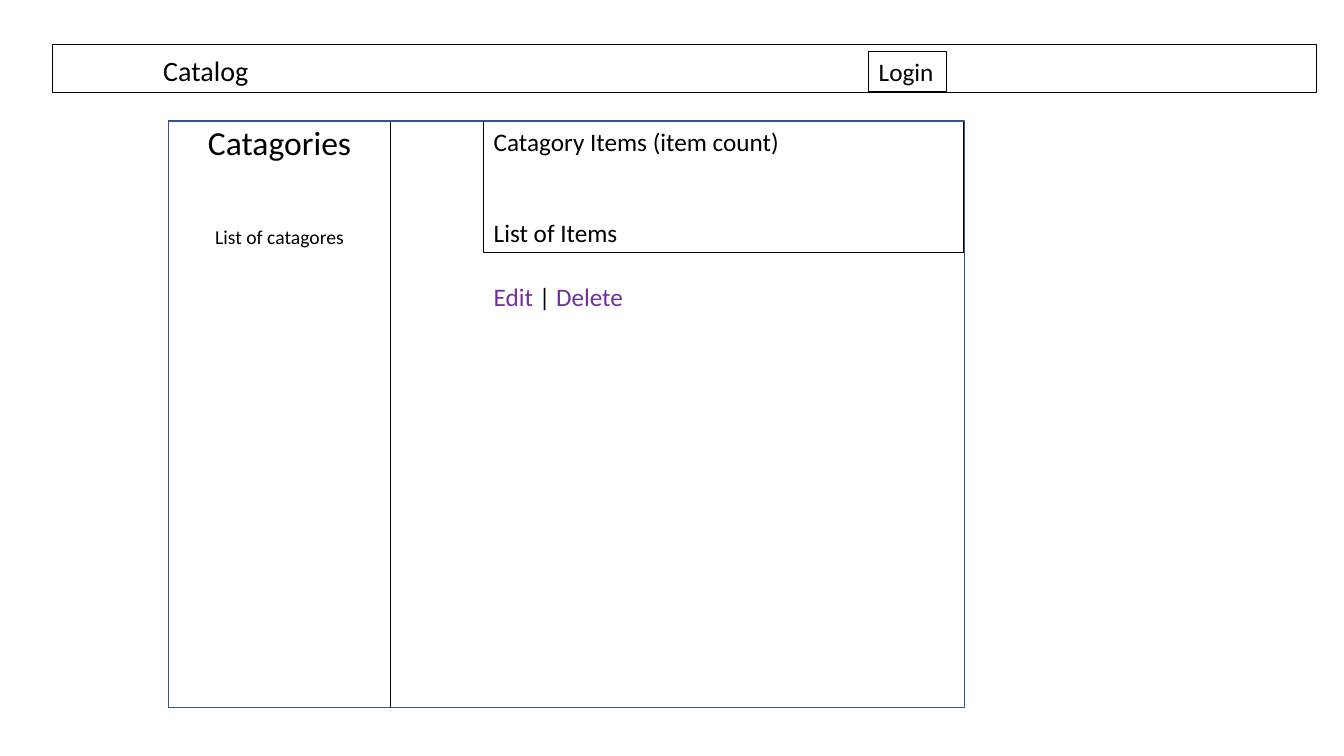
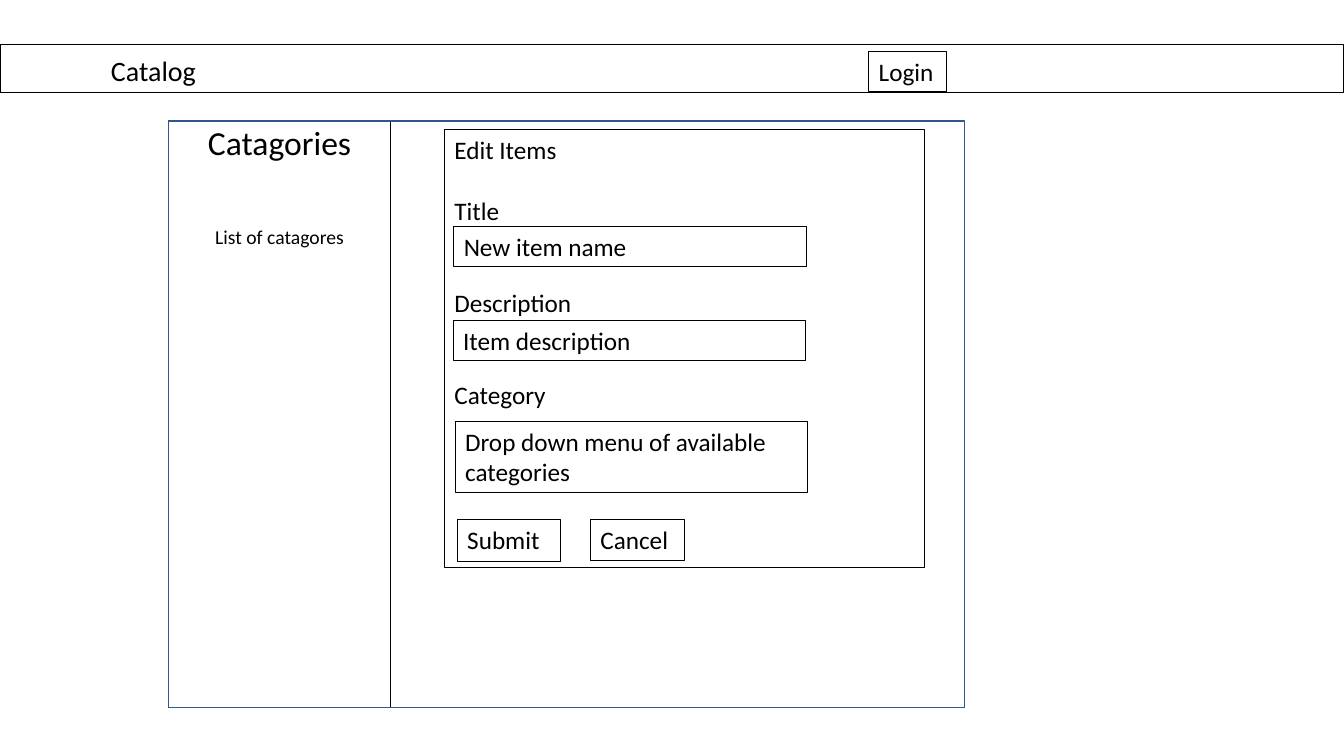
import collections
import dataclasses

import pptx
import pptx.dml.color
import pptx.enum.shapes
import pptx.enum.text
import pptx.util

Pt = pptx.util.Pt
RGB = pptx.dml.color.RGBColor
Align = pptx.enum.text.PP_ALIGN
Anchor = pptx.enum.text.MSO_ANCHOR
RECT = pptx.enum.shapes.MSO_SHAPE.RECTANGLE


@dataclasses.dataclass(frozen=True)
class Theme:
    """Colours, type sizes and line widths shared by the slides."""
    font: str = "Calibri"
    ink: RGB = RGB(0, 0, 0)
    frame: RGB = RGB(0x32, 0x54, 0x91)
    link: RGB = RGB(0x70, 0x30, 0xA0)
    title: float = 20
    heading: float = 24
    body: float = 18
    small: float = 14
    thin: float = 0.75
    thick: float = 1
    blank_line: float = 22


class Box(collections.namedtuple("Box", "x y w h")):
    """A rectangle in points."""

    def sub(self, dx, dy, w, h):
        """Return a box offset from this one's top left corner."""
        return Box(self.x + dx, self.y + dy, w, h)


T = Theme()
FRAME = Box(120.2, 86.4, 568.8, 419)
LOGIN_X = 620.6
BUTTON_H = 28.8


def apply(obj, values):
    """Set each attribute named in values on obj."""
    for name, value in values.items():
        setattr(obj, name, value)


def place(sp, box):
    """Move and size a shape to a box."""
    names = ("left", "top", "width", "height")
    apply(sp, {n: Pt(v) for n, v in zip(names, box)})


def outline(sp, color=T.ink, width=T.thin):
    """Give a shape a plain outline without fill."""
    sp.fill.background()
    sp.line.color.rgb = color
    sp.line.width = Pt(width)


def add_run(p, text, size=T.body, color=T.ink):
    """Append a formatted run to a paragraph."""
    r = p.add_run()
    r.text = text
    apply(r.font, {"name": T.font, "size": Pt(size)})
    r.font.color.rgb = color


def write(sp, lines, anchor=Anchor.TOP, **style):
    """Write (text, size, space before) lines into a shape."""
    tf = sp.text_frame
    apply(tf, {"word_wrap": True, "vertical_anchor": anchor,
               "auto_size": pptx.enum.text.MSO_AUTO_SIZE.NONE})
    for i, (text, size, gap) in enumerate(lines):
        p = tf.add_paragraph() if i else tf.paragraphs[0]
        apply(p, {"alignment": Align.LEFT, "space_before": Pt(gap), **style})
        add_run(p, text, size)


def add_box(slide, box, *lines):
    """Add an outlined box; each line is (text, blank lines above)."""
    sp = slide.shapes.add_shape(RECT, *map(Pt, box))
    sp.shadow.inherit = False
    outline(sp)
    write(sp, [(t, T.body, n * T.blank_line) for t, n in lines])


def add_frame(slide, box):
    """Draw the blue border around the page content."""
    sp = slide.shapes.add_shape(RECT, *map(Pt, box))
    sp.shadow.inherit = False
    outline(sp, T.frame, T.thick)


def add_header(slide, box):
    """Place the catalog title bar with its login button."""
    sp = slide.shapes.title
    place(sp, box)
    outline(sp)
    write(sp, [("Catalog", T.title, 0)], Anchor.BOTTOM, line_spacing=0.9)
    sp.text_frame.margin_left = Pt(79.2)
    login = box.sub(LOGIN_X - box.x, 5, 55.4, BUTTON_H)
    add_box(slide, login, ("Login", 0))


def add_sidebar(slide, box):
    """Place the category column."""
    sp = slide.placeholders[1]
    place(sp, box)
    outline(sp)
    write(sp, [("Catagories", T.heading, 0),
               ("List of catagores", T.small, 46.4)],
          alignment=Align.CENTER, line_spacing=0.9)


def add_item_list(slide, box):
    """Place the item list and its edit and delete links."""
    add_box(slide, box.sub(225.4, 0, 342.7, 94.3),
            ("Catagory Items (item count)", 0), ("List of Items", 2))
    links = box.sub(225.4, 110.9, 110.9, BUTTON_H)
    tf = slide.shapes.add_textbox(*map(Pt, links)).text_frame
    tf.word_wrap = True
    for text, color in (("Edit", T.link), (" | ", T.ink), ("Delete", T.link)):
        add_run(tf.paragraphs[0], text, color=color)


def add_edit_form(slide, box):
    """Place the edit form with its fields and buttons."""
    form = box.sub(197.3, 6.3, 342.7, 312.5)
    add_box(slide, form, ("Edit Items", 0), ("Title", 1),
            ("Description", 2), ("Category", 2))
    for text, dx, dy, w, h in (
            ("New item name", 6.7, 68.9, 252, BUTTON_H),
            ("Item description", 6.2, 136.2, 252, BUTTON_H),
            ("Drop down menu of available categories", 7.7, 208.4, 252, 51),
            ("Submit", 9.2, 278.6, 73.6, 29.6),
            ("Cancel", 104.3, 278.6, 67.3, BUTTON_H)):
        add_box(slide, form.sub(dx, dy, w, h), (text, 0))


def add_page(prs, bar_x, bar_w, add_content):
    """Add one page: header, sidebar, frame and main content."""
    slide = prs.slides.add_slide(prs.slide_layouts[0])
    add_header(slide, Box(bar_x, 31.7, bar_w, 34.5))
    add_sidebar(slide, FRAME.sub(0, 0, 159, FRAME.h))
    add_content(slide, FRAME)
    add_frame(slide, FRAME)


prs = pptx.Presentation()
apply(prs, {"slide_width": Pt(960), "slide_height": Pt(540)})
add_page(prs, 37.4, 903, add_item_list)
add_page(prs, 0, 960, add_edit_form)
prs.save("out.pptx")
